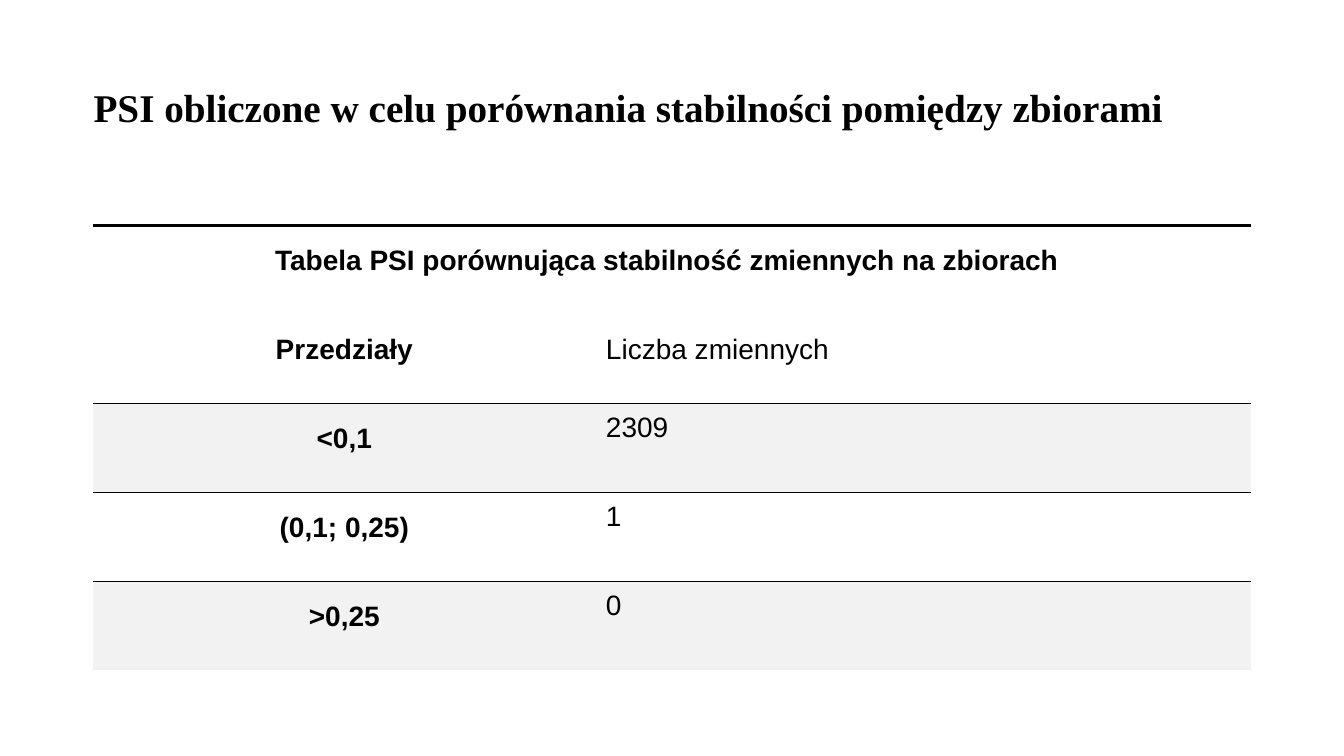
from lxml import etree
from pptx import Presentation
from pptx import util as u
from pptx.dml.color import RGBColor
from pptx.enum import text
from pptx.oxml.ns import qn

NO_STYLE = "{2D5ABB26-0587-4C30-8999-92F81FD0307C}"
BLACK = "000000"


def set_font(paragraph, name, size, bold):
    paragraph.font.name = name
    paragraph.font.size = u.Pt(size)
    paragraph.font.bold = bold
    paragraph.font.color.rgb = RGBColor.from_string(BLACK)


def add_top_border(cell, width):
    line = etree.Element(qn("a:lnT"), w=str(u.Pt(width)))
    fill = etree.SubElement(line, qn("a:solidFill"))
    etree.SubElement(fill, qn("a:srgbClr"), val=BLACK)
    cell._tc.get_or_add_tcPr().insert(0, line)


deck = Presentation()
deck.slide_width = u.Inches(13.33)
deck.slide_height = u.Inches(7.5)
slide = deck.slides.add_slide(deck.slide_layouts[6])

title = slide.shapes.add_textbox(
    u.Inches(0.83), u.Inches(0.48), u.Inches(11.5), u.Inches(1.22)
).text_frame
title.word_wrap = True
title.vertical_anchor = text.MSO_ANCHOR.MIDDLE
title.text = "PSI obliczone w celu porównania stabilności pomiędzy zbiorami"
title.paragraphs[0].line_spacing = 0.9
set_font(title.paragraphs[0], "Times New Roman", 28, True)

rows = [
    ("Tabela PSI porównująca stabilność zmiennych na zbiorach", ""),
    ("Przedziały", "Liczba zmiennych"),
    ("<0,1", "2309"),
    ("(0,1; 0,25)", "1"),
    (">0,25", "0"),
]
top_borders = {0: 2.25, 2: 0.5, 4: 0.5}
shaded_rows = (2, 4)

psi_table = slide.shapes.add_table(
    len(rows), 2, u.Inches(0.92), u.Inches(2.24), u.Inches(11.49), u.Inches(4.41)
).table
psi_table.first_row = False
psi_table.horz_banding = False
psi_table._tbl.tblPr.find(qn("a:tableStyleId")).text = NO_STYLE
psi_table.columns[0].width = u.Inches(5.09)
psi_table.columns[1].width = u.Inches(6.4)
psi_table.cell(0, 0).merge(psi_table.cell(0, 1))

for row, labels in enumerate(rows):
    psi_table.rows[row].height = u.Inches(4.41 / len(rows))
    for column, label in enumerate(labels):
        cell = psi_table.cell(row, column)
        cell.margin_left = 0
        cell.margin_top = u.Inches(0.04)
        cell.margin_right = u.Inches(0.1)
        cell.margin_bottom = u.Inches(0.31)
        if row in shaded_rows:
            cell.fill.solid()
            cell.fill.fore_color.rgb = RGBColor.from_string("F2F2F2")
        else:
            cell.fill.background()
        if row in top_borders:
            add_top_border(cell, top_borders[row])
        if cell.is_spanned:
            continue
        cell.text = label
        paragraph = cell.text_frame.paragraphs[0]
        is_count = column == 1 and row > 1
        paragraph.line_spacing = 1.15 if is_count else 1.5
        paragraph.space_after = u.Pt(8)
        if column == 0:
            paragraph.alignment = text.PP_ALIGN.CENTER
        elif is_count:
            paragraph.alignment = text.PP_ALIGN.JUSTIFY
        set_font(paragraph, "Arial", 20, column == 0)

deck.save("out.pptx")
